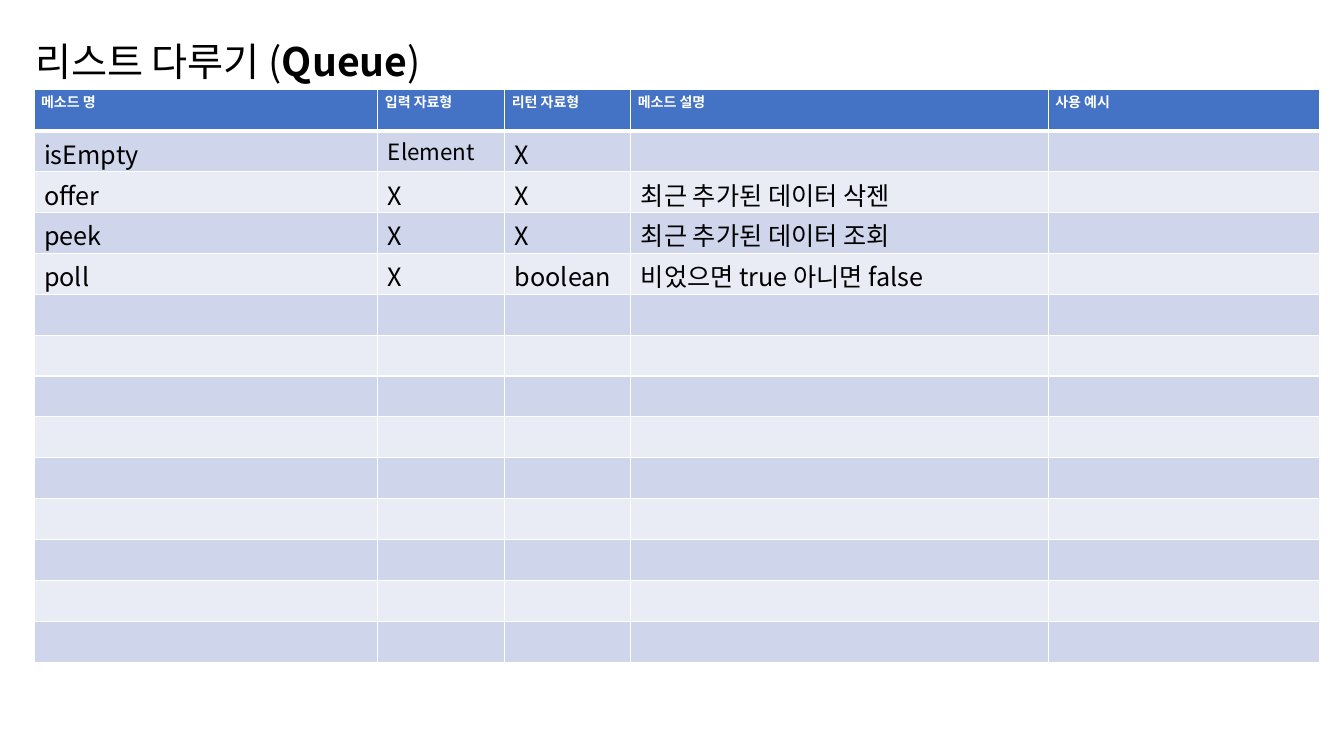
from lxml.etree import SubElement
from pptx import Presentation
from pptx.dml.color import RGBColor
from pptx.enum.text import PP_ALIGN
from pptx.oxml.ns import qn
from pptx.util import Pt

TITLE = [("리스트 다루기 (", False), ("Queue", True), (")", False)]
HEADS = ["메소드 명", "입력 자료형", "리턴 자료형", "메소드 설명", "사용 예시"]
METHODS = [
    ["isEmpty", "Element", "X", "", ""],
    ["offer", "X", "X", "최근 추가된 데이터 삭젠", ""],
    ["peek", "X", "X", "최근 추가된 데이터 조회", ""],
    ["poll", "X", "boolean", "비었으면 true 아니면 false", ""],
]
SPARE = 9
ROWS = [HEADS] + METHODS + [[""] * len(HEADS)] * SPARE

FONT = "Noto Sans CJK KR"
BLACK = RGBColor(0x00, 0x00, 0x00)
WHITE = RGBColor(0xFF, 0xFF, 0xFF)
BLUE = RGBColor(0x44, 0x72, 0xC4)
BANDS = [RGBColor(0xE9, 0xEB, 0xF5), RGBColor(0xCF, 0xD5, 0xEA)]

WIDTHS = [245.6, 90.7, 90, 298.2, 193.5]
ROW_H = 29.2
LEFT, TOP = 24.3, 64.2


def style(para, size, color, bold=False):
    """Set the font of a paragraph, for Latin and Korean letters alike."""
    font = para.font
    font.size, font.bold, font.name = Pt(size), bold, FONT
    font.color.rgb = color
    props = para._p.get_or_add_pPr().find(qn("a:defRPr"))
    SubElement(props, qn("a:ea"), typeface=FONT)


def edge(cell, base):
    """Draw white borders; base is the width of the bottom one."""
    props = cell._tc.get_or_add_tcPr()
    for side, width in (("L", 1), ("R", 1), ("T", 1), ("B", base)):
        line = SubElement(props, qn("a:ln" + side), w=str(Pt(width)))
        fill = SubElement(line, qn("a:solidFill"))
        SubElement(fill, qn("a:srgbClr"), val=str(WHITE))


def paint(cell, color):
    cell.fill.solid()
    cell.fill.fore_color.rgb = color


def fill_head(cell, text):
    edge(cell, 3)
    paint(cell, BLUE)
    cell.margin_left = cell.margin_right = Pt(5.1)
    cell.margin_top = cell.margin_bottom = Pt(0)
    cell.text = text
    para = cell.text_frame.paragraphs[0]
    para.alignment = PP_ALIGN.JUSTIFY
    para.line_spacing = 1.07
    para.space_after = Pt(8)
    style(para, 10, WHITE, True)


def fill_body(cell, text, band):
    edge(cell, 1)
    paint(cell, band)
    cell.margin_top, cell.margin_bottom = Pt(3), Pt(0)
    if text:
        cell.text = text
        size = 16 if text == "Element" else 18
        style(cell.text_frame.paragraphs[0], size, BLACK)


def add_title(slide):
    box = slide.shapes.add_textbox(Pt(18), Pt(23), Pt(552), Pt(41))
    box.text_frame.word_wrap = True
    para = box.text_frame.paragraphs[0]
    style(para, 28, BLACK)
    for text, bold in TITLE:
        run = para.add_run()
        run.text = text
        run.font.bold = bold


def add_methods(slide):
    frame = slide.shapes.add_table(
        len(ROWS), len(HEADS), Pt(LEFT), Pt(TOP),
        Pt(sum(WIDTHS)), Pt(ROW_H * len(ROWS)))
    table = frame.table
    for col, width in zip(table.columns, WIDTHS):
        col.width = Pt(width)
    for r, texts in enumerate(ROWS):
        table.rows[r].height = Pt(ROW_H)
        for c, text in enumerate(texts):
            cell = table.cell(r, c)
            if r == 0:
                fill_head(cell, text)
            else:
                fill_body(cell, text, BANDS[r % 2])


def main():
    deck = Presentation()
    deck.slide_width, deck.slide_height = Pt(960), Pt(540)
    slide = deck.slides.add_slide(deck.slide_layouts[6])
    add_title(slide)
    add_methods(slide)
    deck.save("out.pptx")


if __name__ == "__main__":
    main()
